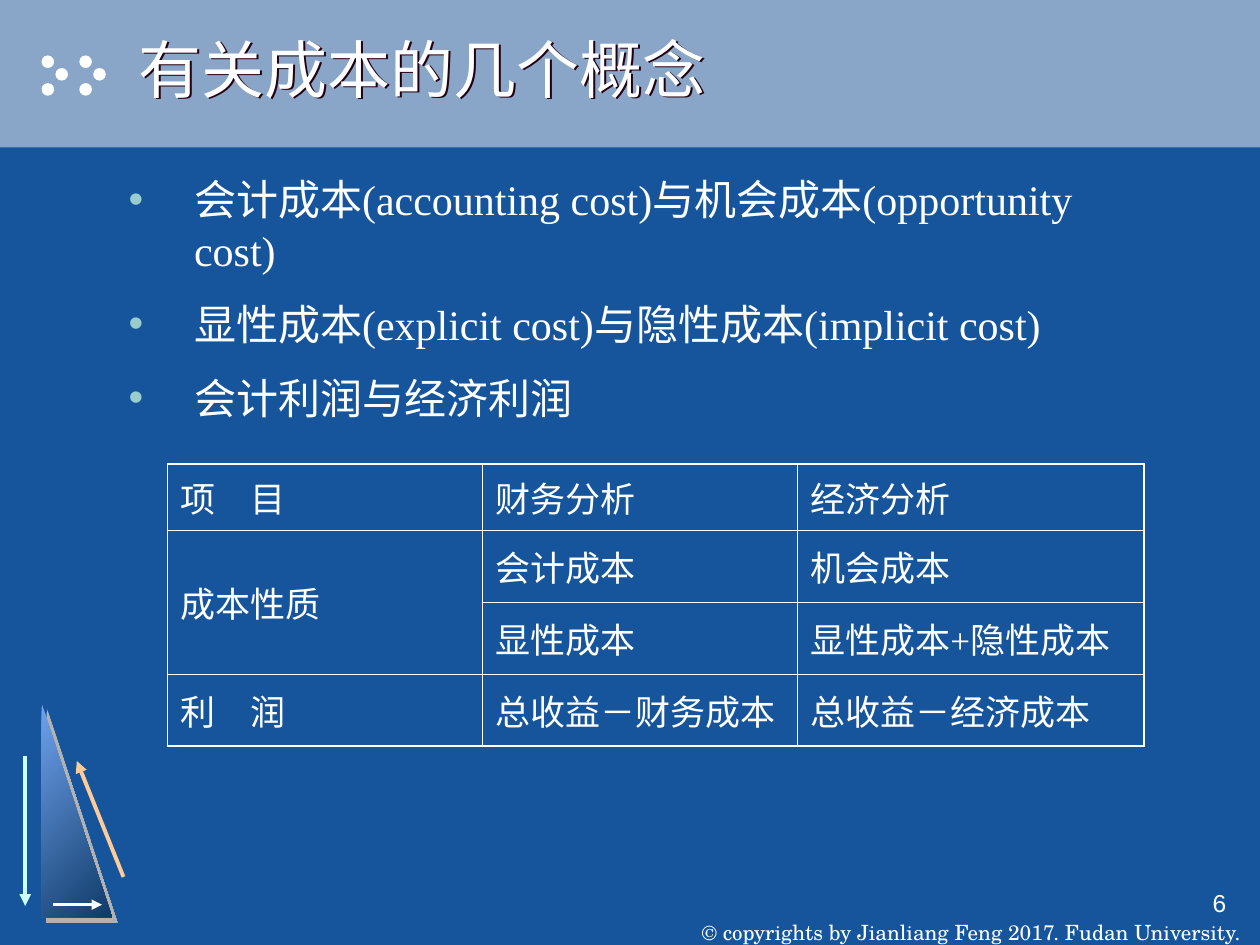
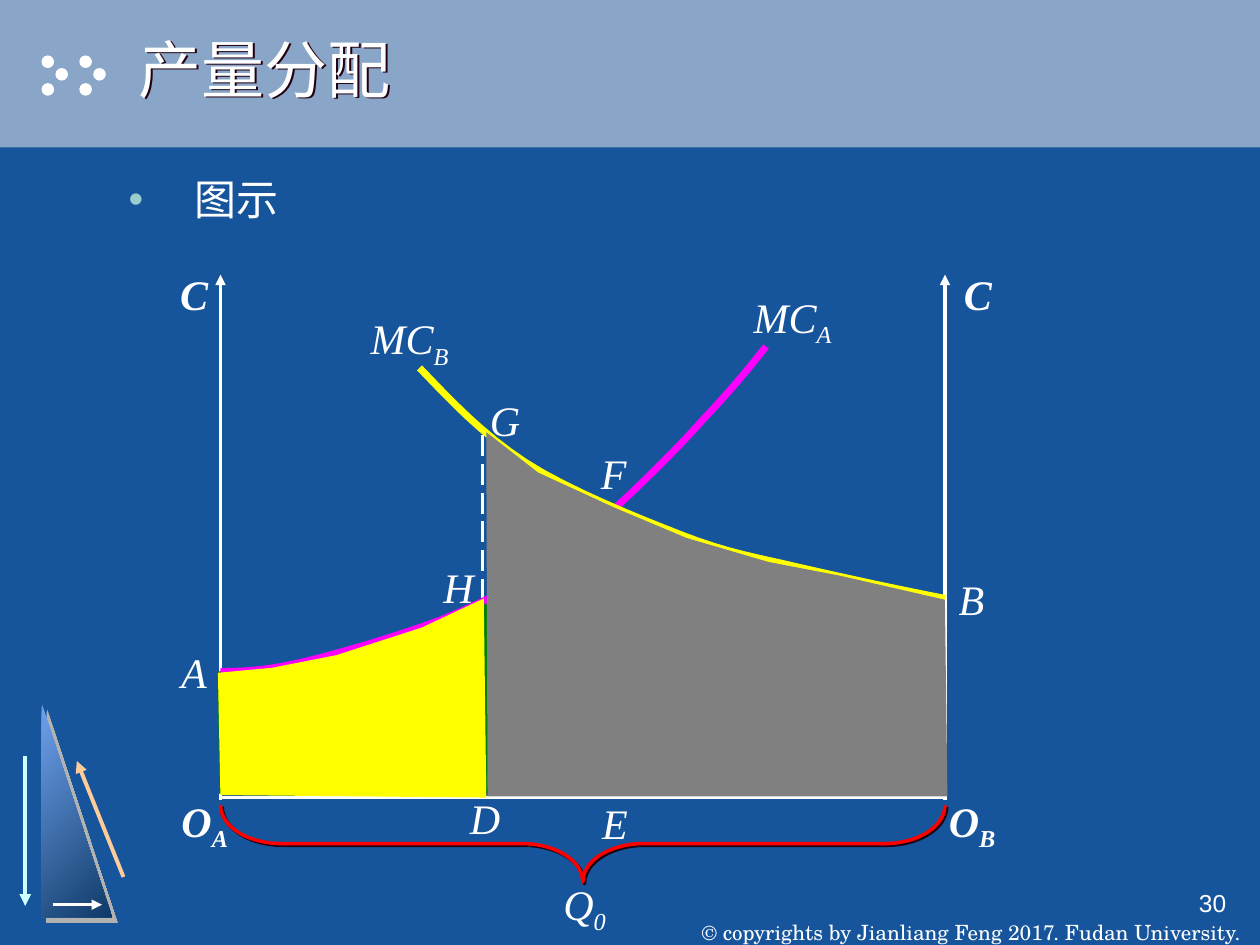
"""Build two lecture slides on cost concepts and output allocation."""
from lxml.etree import SubElement
from pptx import Presentation
from pptx.dml.color import RGBColor
from pptx.enum.dml import MSO_LINE
from pptx.enum.shapes import MSO_CONNECTOR, MSO_SHAPE
from pptx.enum.text import MSO_ANCHOR, MSO_AUTO_SIZE, PP_ALIGN
from pptx.oxml.ns import qn
from pptx.util import Inches, Pt

HEX = {
    "background": "16559B", "band": "89A5C7", "white": "FFFFFF", "bullet": "99CCCC",
    "light": "6FA2ED", "dark": "0F3A68", "grey": "B2B2B2", "ink": "220011",
    "cyan": "CCFFFF", "orange": "FFCC99", "red": "FF0000", "magenta": "FF00FF",
    "yellow": "FFFF00", "green": "008000", "area": "808080",
}
COLOR = {name: RGBColor.from_string(value) for name, value in HEX.items()}
SERIF = "Times New Roman"
GRID_COLUMNS, GRID_ROWS = 10, 7.5

deck = Presentation()
deck.slide_width, deck.slide_height = Inches(GRID_COLUMNS), Inches(GRID_ROWS)
CELL = deck.slide_width // GRID_COLUMNS


def grid(*cells):
    """Turn grid columns and rows into slide lengths."""
    return [round(CELL * cell) for cell in cells]


def add_line(page, start, end, color, weight, arrow=False, dash=None):
    """Draw a straight line, with an arrowhead at its end if asked."""
    line = page.shapes.add_connector(MSO_CONNECTOR.STRAIGHT, *grid(*start, *end))
    line.line.color.rgb = COLOR[color]
    line.line.width = Pt(weight)
    if dash:
        line.line.dash_style = dash
    properties = line._element.spPr
    if arrow:
        SubElement(properties.find(qn("a:ln")), qn("a:tailEnd"), type="triangle")
    SubElement(properties, qn("a:effectLst"))


shadows = []

layout = deck.slide_layouts[1]
layout.background.fill.solid()
layout.background.fill.fore_color.rgb = COLOR["background"]
for placeholder in list(layout.placeholders)[2:]:
    placeholder._element.getparent().remove(placeholder._element)

concepts = deck.slides.add_slide(layout)
allocation = deck.slides.add_slide(layout)

dots = [(MSO_SHAPE.OVAL, (left + shift, top, 0.1, 0.1), "white")
        for left in (0.33, 0.63)
        for shift, top in ((0, 0.44), (0.11, 0.54), (0, 0.66))]
band = (MSO_SHAPE.RECTANGLE, (0, 0, GRID_COLUMNS, 1.17), "band")
for kind, place, color in [band, *dots]:
    shape = concepts.shapes.add_shape(kind, *grid(*place))
    shape.shadow.inherit = False
    shape.fill.solid()
    shape.fill.fore_color.rgb = COLOR[color]
    shape.line.fill.background()

triangle = concepts.shapes.add_shape(MSO_SHAPE.RIGHT_TRIANGLE, *grid(0.33, 5.58, 0.56, 1.7))
triangle.fill.gradient()
triangle.fill.gradient_angle = 315
for stop, color in zip(triangle.fill.gradient_stops, ("light", "dark")):
    stop.color.rgb = COLOR[color]
triangle.line.fill.background()
shadows.append((triangle, "grey", 4.2))

add_line(concepts, (0.2, 6), (0.2, 7.19), "cyan", 2.25, arrow=True)
add_line(concepts, (0.98, 6.96), (0.61, 6.04), "orange", 2.25, arrow=True)
add_line(concepts, (0.42, 7.18), (0.81, 7.18), "white", 1.5, arrow=True)

footer = concepts.shapes.add_textbox(*grid(5.42, 7, 4.58, 0.5))
frame = footer.text_frame
frame.word_wrap = False
frame.vertical_anchor = MSO_ANCHOR.BOTTOM
frame.margin_top = frame.margin_bottom = 0
para = frame.paragraphs[0]
para.text = "© copyrights by Jianliang Feng 2017. Fudan University."
para.alignment = PP_ALIGN.CENTER
para.font.name, para.font.size = "TeX Gyre Schola", Pt(12)
para.font.color.rgb = COLOR["white"]

for shape in list(concepts.shapes):
    if not shape.is_placeholder:
        layout.shapes._spTree.append(shape._element)

pages = [
    (concepts, "6", "有关成本的几个概念", [
        "会计成本(accounting cost)与机会成本(opportunity cost)",
        "显性成本(explicit cost)与隐性成本(implicit cost)",
        "会计利润与经济利润",
    ]),
    (allocation, "30", "产量分配", ["图示"]),
]
for page, number, heading, points in pages:
    title, body = page.placeholders
    number_box = page.shapes.add_textbox(*grid(7.75, 7, 2.08, 0.5))
    for box, place in ((title, (1, 0, 9, 1.08)), (body, (0.92, 1.33, 8.17, 5))):
        box.left, box.top, box.width, box.height = grid(*place)
        box.text_frame.auto_size = MSO_AUTO_SIZE.NONE
    title.text_frame.vertical_anchor = MSO_ANCHOR.MIDDLE
    shadows.append((title, "ink", 1.4))
    number_box.text_frame.word_wrap = True
    for box, text, size, alignment in ((title, heading, 36, PP_ALIGN.LEFT),
                                       (number_box, number, 14, PP_ALIGN.RIGHT)):
        para = box.text_frame.paragraphs[0]
        para.text = text
        para.alignment = alignment
        para.font.name, para.font.size = "Arial", Pt(size)
        para.font.color.rgb = COLOR["white"]

    body.text_frame.text = "\n".join(points)
    for index, para in enumerate(body.text_frame.paragraphs):
        para.space_before = Pt(13.5 if index else 0)
        properties = para._p.get_or_add_pPr()
        properties.set("marL", str(Inches(0.52)))
        properties.set("indent", str(-Inches(0.52)))
        bullet_color = SubElement(properties, qn("a:buClr"))
        SubElement(bullet_color, qn("a:srgbClr"), val=HEX["bullet"])
        SubElement(properties, qn("a:buChar"), char="•")
        para.font.name, para.font.size = SERIF, Pt(24)
        para.font.color.rgb = COLOR["white"]

rows = [
    ["项　目", "财务分析", "经济分析"],
    ["成本性质", "会计成本", "机会成本"],
    ["", "显性成本", "显性成本+隐性成本"],
    ["利　润", "总收益－财务成本", "总收益－经济成本"],
]
table = concepts.shapes.add_table(4, 3, *grid(1.33, 3.68, 7.75, 2.24)).table
table.first_row = table.horz_banding = False
for column, width in zip(table.columns, grid(2.5, 2.5, 2.75)):
    column.width = width
for row, height in zip(table.rows, grid(0.53, 0.57, 0.57, 0.57)):
    row.height = height
table.cell(1, 0).merge(table.cell(2, 0))
vertical_rules = [1.08, 1.08, 0.45, 1.08]
horizontal_rules = [1.08, 1.08, 0.45, 0.45, 1.08]
for row_index, row in enumerate(rows):
    for column_index, text in enumerate(row):
        cell = table.cell(row_index, column_index)
        cell.vertical_anchor = MSO_ANCHOR.MIDDLE
        borders = {
            "lnL": vertical_rules[column_index], "lnR": vertical_rules[column_index + 1],
            "lnT": horizontal_rules[row_index], "lnB": horizontal_rules[row_index + 1],
        }
        for side, weight in borders.items():
            border = SubElement(cell._tc.get_or_add_tcPr(), qn(f"a:{side}"), w=str(Pt(weight)))
            paint = SubElement(border, qn("a:solidFill"))
            SubElement(paint, qn("a:srgbClr"), val=HEX["white"])
        cell.fill.background()
        if text:
            para = cell.text_frame.paragraphs[0]
            para.text = text
            para.font.name, para.font.size = SERIF, Pt(20)
            para.font.color.rgb = COLOR["white"]

left_axis, right_axis, axis_top, base = 1.75, 7.5, 2.18, 6.33
for axis in (left_axis, right_axis):
    add_line(allocation, (axis, base + 0.02), (axis, axis_top), "white", 2, arrow=True)
add_line(allocation, (left_axis, base), (right_axis, base), "white", 2)

brace_depth, brace_length = 0.61, right_axis - left_axis
brace = allocation.shapes.add_shape(
    MSO_SHAPE.RIGHT_BRACE, *grid(4.32, 3.82, brace_depth, brace_length))
brace.rotation = 90
brace.adjustments[0], brace.adjustments[1] = 0.79, 0.5
brace.fill.background()
brace.line.color.rgb = COLOR["red"]
brace.line.width = Pt(2)
shadows.append((brace, "ink", 1.4))

labels = [
    ("O", "A", True, 1.34, 6.17, 0.57), ("O", "B", True, 7.43, 6.17, 0.57),
    ("C", "", True, 1.33, 2, 0.42), ("C", "", True, 7.55, 2, 0.42),
    ("MC", "A", False, 5.88, 2.17, 0.82), ("MC", "B", False, 2.84, 2.34, 0.82),
    ("Q", "0", False, 4.37, 6.83, 0.54), ("A", "", False, 1.33, 5, 0.42),
    ("B", "", False, 7.5, 4.42, 0.42), ("D", "", False, 3.63, 6.16, 0.42),
    ("E", "", False, 4.68, 6.2, 0.4), ("F", "", False, 4.67, 3.42, 0.4),
    ("G", "", False, 3.79, 3, 0.42), ("H", "", False, 3.42, 4.33, 0.42),
]
for symbol, subscript, bold, left, top, width in labels:
    if symbol in "GH":
        width = 0.33
    box = allocation.shapes.add_textbox(*grid(left, top, width, 0.58))
    box.text_frame.word_wrap = False
    para = box.text_frame.paragraphs[0]
    para.alignment = PP_ALIGN.CENTER
    para.line_spacing = 1.2
    para.font.name, para.font.size = SERIF, Pt(24)
    para.font.bold, para.font.italic = bold, True
    para.font.color.rgb = COLOR["white"]
    para.add_run().text = symbol
    if subscript:
        span = para.add_run()
        span.text = subscript
        span._r.get_or_add_rPr().set("baseline", "-25000")

add_line(allocation, (3.83, 3.45), (3.83, base), "white", 1.5, dash=MSO_LINE.LONG_DASH)

cost_a = [(1.75, 5.33), (1.94, 5.33), (2.13, 5.32), (2.42, 5.25), (2.71, 5.18),
          (3.18, 5.04), (3.5, 4.92), (3.82, 4.79), (4.11, 4.64), (4.33, 4.5),
          (4.56, 4.36), (4.63, 4.28), (4.83, 4.08), (5.04, 3.89), (5.38, 3.56),
          (5.58, 3.33), (5.79, 3.11), (5.94, 2.93), (6.08, 2.75)]
cost_b = [(3.33, 2.92), (3.58, 3.18), (3.82, 3.44), (4.17, 3.67), (4.51, 3.89),
          (5.06, 4.11), (5.42, 4.25), (5.78, 4.39), (5.99, 4.42), (6.33, 4.5),
          (6.68, 4.58), (7.09, 4.67), (7.5, 4.75)]
curves = []
for controls in (cost_a, cost_b):
    curve = [controls[0]]
    for first in range(0, len(controls) - 1, 3):
        for step in range(1, 9):
            t = step / 8
            weights = ((1 - t) ** 3, 3 * t * (1 - t) ** 2, 3 * t ** 2 * (1 - t), t ** 3)
            segment = controls[first:first + 4]
            curve.append(tuple(sum(weight * point[axis] for weight, point in zip(weights, segment))
                               for axis in (0, 1)))
    curves.append(curve)

green_area = [(4.71, 4.2), (4.35, 4.48), (3.87, 4.76), (3.35, 4.97), (2.67, 5.19),
              (2.16, 5.28), (1.73, 5.33), (1.74, 6.3), (4.87, 6.29), (4.87, 3.97)]
yellow_area = [(3.84, 4.75), (3.35, 4.98), (2.67, 5.2), (2.16, 5.3), (1.73, 5.34),
               (1.75, 6.31), (3.86, 6.33)]
grey_area = [(7.5, 4.76), (6.67, 4.57), (6.1, 4.46), (5.45, 4.27), (4.88, 4.03),
             (4.27, 3.75), (3.86, 3.43), (3.87, 6.32), (7.52, 6.32)]
outlines = [
    (green_area, "green", True), (curves[0], "magenta", False), (curves[1], "yellow", False),
    (yellow_area, "yellow", True), (grey_area, "area", True),
]
for points, color, filled in outlines:
    corners = [grid(*point) for point in points]
    builder = allocation.shapes.build_freeform(*corners[0])
    builder.add_line_segments(corners[1:], close=filled)
    outline = builder.convert_to_shape()
    outline.shadow.inherit = False
    if filled:
        outline.fill.solid()
        outline.fill.fore_color.rgb = COLOR[color]
        outline.line.fill.background()
    else:
        outline.fill.background()
        outline.line.color.rgb = COLOR[color]
        outline.line.width = Pt(4)

for shape, color, distance in shadows:
    shape.shadow.inherit = False
    effects = shape._element.spPr.find(qn("a:effectLst"))
    shadow = SubElement(effects, qn("a:outerShdw"), dist=str(Pt(distance)), dir="2700000",
                        algn="ctr", rotWithShape="0")
    SubElement(shadow, qn("a:srgbClr"), val=HEX[color])

deck.save("out.pptx")
